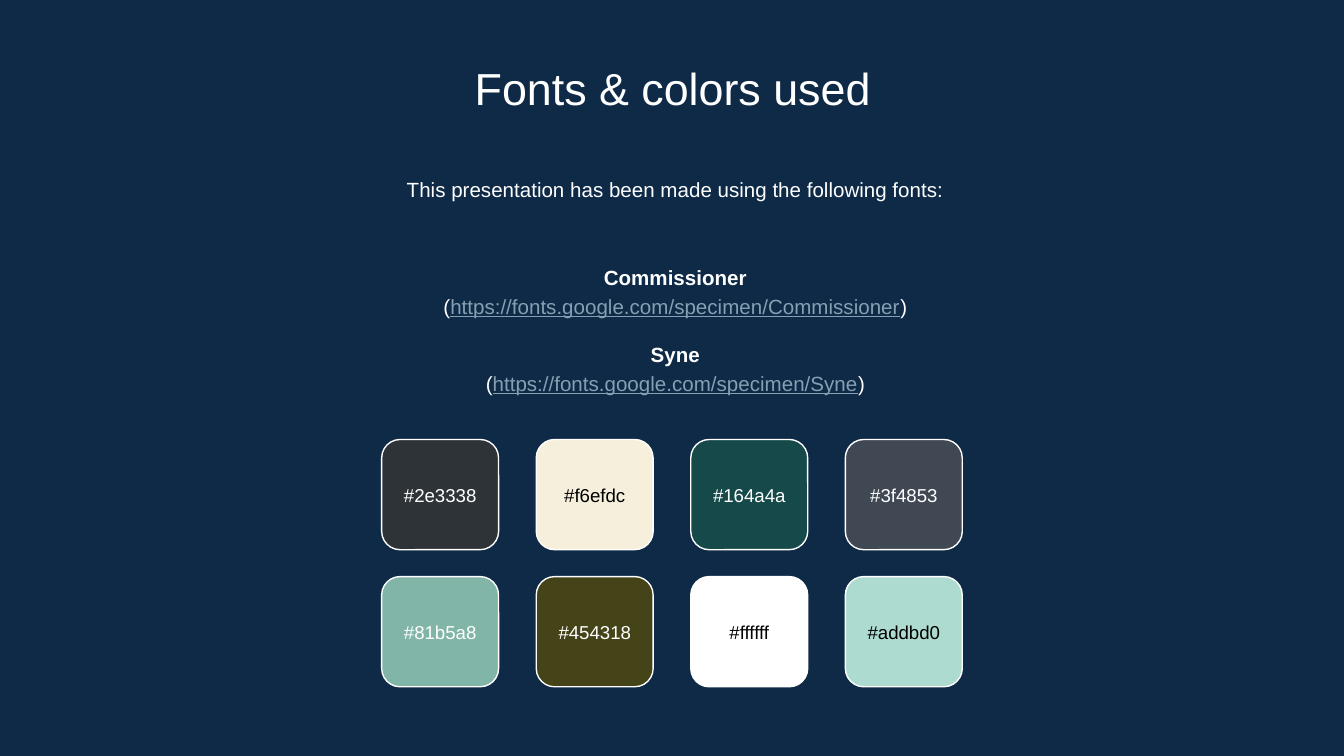
from pptx import Presentation
from pptx.dml.color import RGBColor as RGB
from pptx.enum.shapes import MSO_SHAPE as Shape
from pptx.enum.text import MSO_ANCHOR as Anchor, PP_ALIGN as Align
from pptx.util import Inches, Pt

COLORS = {"back": "0E2A47", "white": "FFFFFF", "black": "000000", "link": "869FB2"}
SWATCHES = [
    [("2e3338", "white"), ("f6efdc", "black"), ("164a4a", "white"), ("3f4853", "white")],
    [("81b5a8", "white"), ("454318", "white"), ("ffffff", "black"), ("addbd0", "black")],
]
FONTS = ["Commissioner", "Syne"]
SITE = "https://fonts.google.com/specimen/"


class Deck:
    """Holds the text style and the current slide, and draws its elements."""

    def __init__(self, slide, font="Arial"):
        self.slide = slide
        self.font = font

    def back(self, color):
        fill = self.slide.background.fill
        fill.solid()
        fill.fore_color.rgb = RGB.from_string(COLORS[color])

    def text(self, box, lines, size, anchor=Anchor.TOP, space=1.0):
        frame = self.slide.shapes.add_textbox(*map(Inches, box)).text_frame
        pad = Inches(0.1)
        form = {"word_wrap": True, "vertical_anchor": anchor, "margin_left": pad,
                "margin_right": pad, "margin_top": pad, "margin_bottom": pad}
        for key, value in form.items():
            setattr(frame, key, value)
        for i, (gap, runs) in enumerate(lines):
            para = frame.add_paragraph() if i else frame.paragraphs[0]
            form = {"alignment": Align.CENTER, "line_spacing": space, "space_before": Pt(gap)}
            for key, value in form.items():
                setattr(para, key, value)
            for words, color, style in runs:
                self.run(para, words, color, {"size": Pt(size), **style})

    def run(self, para, words, color, style):
        run = para.add_run()
        run.text = words
        for key, value in {"name": self.font, **style}.items():
            setattr(run.font, key, value)
        run.font.color.rgb = RGB.from_string(COLORS[color])

    def swatch(self, left, top, code, color):
        box = map(Inches, (left, top, 0.87, 0.82))
        tile = self.slide.shapes.add_shape(Shape.ROUNDED_RECTANGLE, *box)
        tile.shadow.inherit = False
        tile.fill.solid()
        tile.fill.fore_color.rgb = RGB.from_string(code.upper())
        tile.line.color.rgb = RGB.from_string(COLORS["white"])
        tile.line.width = Pt(0.75)
        label = [(0, [("#" + code, color, {})])]
        self.text((left, top + 0.17, 0.87, 0.48), label, 10, Anchor.MIDDLE)


def main():
    prs = Presentation()
    prs.slide_width = Inches(10)
    prs.slide_height = prs.slide_width * 9 // 16
    deck = Deck(prs.slides.add_slide(prs.slide_layouts[6]))
    deck.back("back")

    for row, tiles in enumerate(SWATCHES):
        for col, (code, color) in enumerate(tiles):
            deck.swatch(2.84 + 1.15 * col, 3.27 + 1.02 * row, code, color)

    intro = "This presentation has been made using the following fonts:"
    deck.text((1.17, 1.19, 7.71, 0.48), [(0, [(intro, "white", {})])], 11, space=1.15)

    lines = []
    for i, name in enumerate(FONTS):
        lines.append((11 if i else 0, [(name, "white", {"bold": True})]))
        lines.append((0, [("(", "white", {}),
                          (SITE + name, "link", {"underline": True}),
                          (")", "white", {})]))
    deck.text((1.17, 1.76, 7.71, 1.37), lines, 11, Anchor.MIDDLE, 1.15)

    title = [(0, [("Fonts & colors used", "white", {})])]
    deck.text((1.15, 0.35, 7.71, 0.53), title, 24)
    prs.save("out.pptx")


if __name__ == "__main__":
    main()
